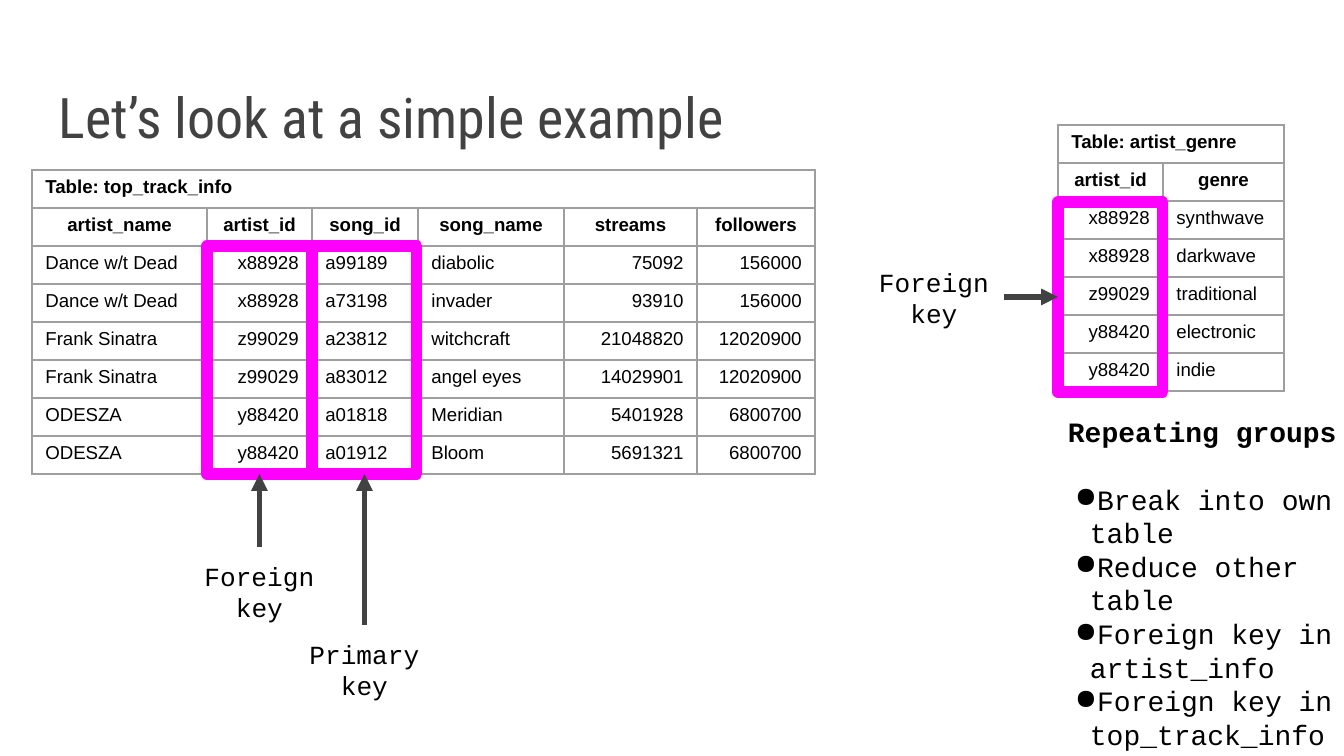
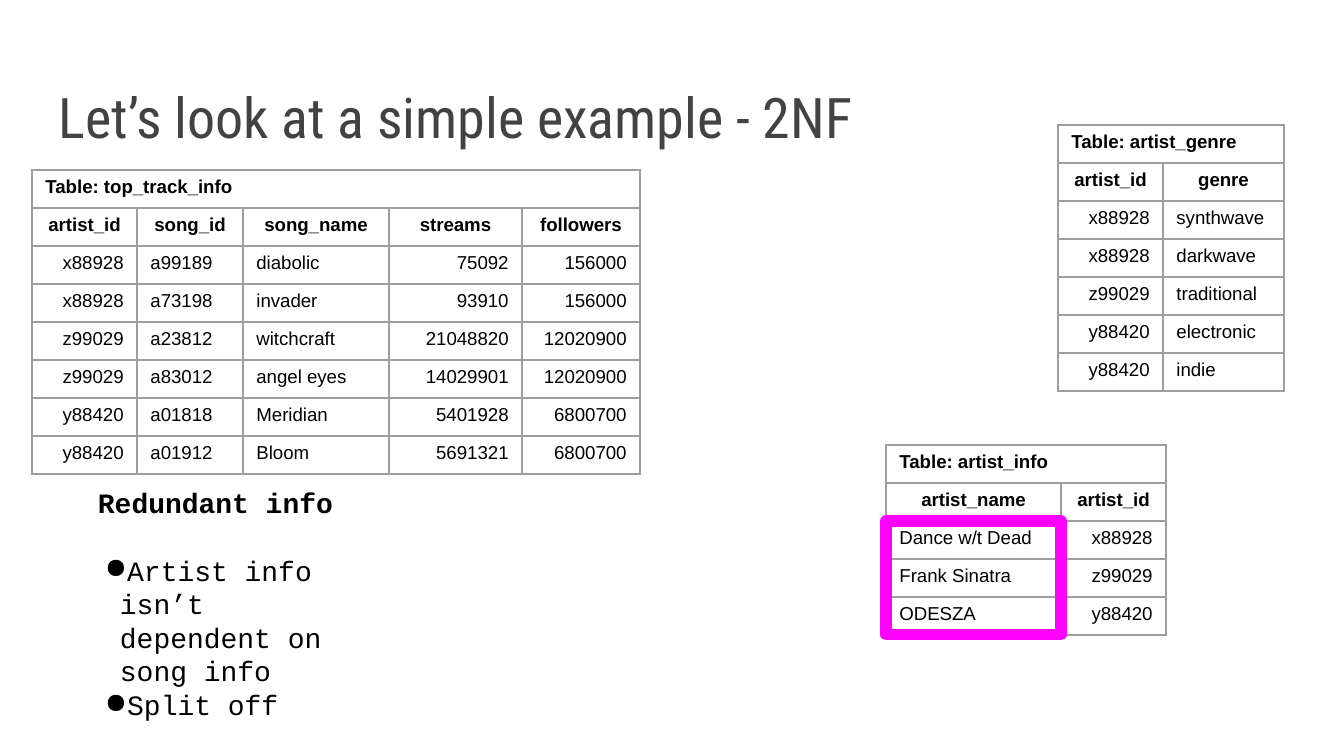
import pptx
import pptx.dml.color
import pptx.enum.dml
import pptx.enum.shapes
import pptx.enum.text
import pptx.oxml
import pptx.oxml.ns
import pptx.util
import lxml.etree

ALIGN = pptx.enum.text.PP_ALIGN
TITLE_FONT = "Roboto Condensed"
TABLE_FONT = "Arial"
NOTE_FONT = "Courier New"
BLACK, WHITE, GREY = "000000", "FFFFFF", "424242"
BORDER, HIGHLIGHT = "9E9E9E", "FF00FF"
ROW_HEIGHT = 38

COLUMNS = {
    "artist_name": (175, ALIGN.LEFT),
    "artist_id": (105, ALIGN.RIGHT),
    "song_id": (106, ALIGN.LEFT),
    "song_name": (146, ALIGN.LEFT),
    "streams": (133, ALIGN.RIGHT),
    "followers": (118, ALIGN.RIGHT),
    "genre": (121, ALIGN.LEFT),
}
TRACK_COLUMNS = ["artist_name", "artist_id", "song_id", "song_name", "streams", "followers"]
TRACKS = [
    ("Dance w/t Dead", "x88928", "a99189", "diabolic", "75092", "156000"),
    ("Dance w/t Dead", "x88928", "a73198", "invader", "93910", "156000"),
    ("Frank Sinatra", "z99029", "a23812", "witchcraft", "21048820", "12020900"),
    ("Frank Sinatra", "z99029", "a83012", "angel eyes", "14029901", "12020900"),
    ("ODESZA", "y88420", "a01818", "Meridian", "5401928", "6800700"),
    ("ODESZA", "y88420", "a01912", "Bloom", "5691321", "6800700"),
]
GENRES = [
    ("x88928", "synthwave"),
    ("x88928", "darkwave"),
    ("z99029", "traditional"),
    ("y88420", "electronic"),
    ("y88420", "indie"),
]
ARTISTS = [("Dance w/t Dead", "x88928"), ("Frank Sinatra", "z99029"), ("ODESZA", "y88420")]


def px(length):
    return pptx.util.Emu(round(length * 914400 / 134.4))


def color(value):
    return pptx.dml.color.RGBColor.from_string(value)


def add_run(paragraph, text, font, size, fill=BLACK, bold=False):
    run = paragraph.add_run()
    run.text = text
    run.font.name = font
    run.font.size = pptx.util.Pt(size)
    run.font.bold = bold
    run.font.color.rgb = color(fill)


def set_frame(frame, inset):
    frame.word_wrap = True
    frame.auto_size = pptx.enum.text.MSO_AUTO_SIZE.NONE
    frame.margin_left = frame.margin_right = px(inset)
    frame.margin_top = frame.margin_bottom = px(inset)


def add_titled_slide(presentation, text):
    slide = presentation.slides.add_slide(presentation.slide_layouts[5])
    title = slide.shapes.title
    title.left, title.top, title.width, title.height = px(46), px(55), px(1253), px(108)
    set_frame(title.text_frame, 13)
    title.text_frame.vertical_anchor = pptx.enum.text.MSO_ANCHOR.BOTTOM
    paragraph = title.text_frame.paragraphs[0]
    paragraph.alignment = ALIGN.LEFT
    add_run(paragraph, text, TITLE_FONT, 30, GREY)
    return slide


def set_borders(cell):
    properties = cell._tc.get_or_add_tcPr()
    for side in ("lnL", "lnR", "lnT", "lnB"):
        properties.append(pptx.oxml.parse_xml(
            f'<a:{side} {pptx.oxml.ns.nsdecls("a")} w="9525"><a:solidFill>'
            f'<a:srgbClr val="{BORDER}"/></a:solidFill></a:{side}>'))


def fill_cell(cell, text, alignment, bold):
    paragraph = cell.text_frame.paragraphs[0]
    paragraph.alignment = alignment
    add_run(paragraph, text, TABLE_FONT, 10, bold=bold)


def add_data_table(slide, left, top, name, columns, records):
    widths = [COLUMNS[column][0] for column in columns]
    row_count = len(records) + 2
    table = slide.shapes.add_table(
        row_count, len(columns), px(left), px(top),
        px(sum(widths)), px(ROW_HEIGHT * row_count)).table
    table.first_row = table.horz_banding = False
    for column, width in zip(table.columns, widths):
        column.width = px(width)
    for row in table.rows:
        row.height = px(ROW_HEIGHT)
    for cell in table.iter_cells():
        set_borders(cell)
        cell.fill.background()
    heading = table.cell(0, 0)
    heading.merge(table.cell(0, len(columns) - 1))
    heading.fill.solid()
    heading.fill.fore_color.rgb = color(WHITE)
    fill_cell(heading, f"Table: {name}", ALIGN.LEFT, True)
    for index, column in enumerate(columns):
        fill_cell(table.cell(1, index), column, ALIGN.CENTER, True)
        for row, record in enumerate(records, 2):
            fill_cell(table.cell(row, index), record[index], COLUMNS[column][1], False)


def add_highlight(slide, left, top, width, height):
    shape = slide.shapes.add_shape(
        pptx.enum.shapes.MSO_SHAPE.RECTANGLE, px(left), px(top), px(width), px(height))
    shape.shadow.inherit = False
    shape.fill.background()
    shape.line.color.rgb = color(HIGHLIGHT)
    shape.line.width = pptx.util.Pt(6)
    return shape


def add_text_box(slide, left, top, width, height, inset):
    box = slide.shapes.add_textbox(px(left), px(top), px(width), px(height))
    set_frame(box.text_frame, inset)
    return box


def next_paragraph(frame, index):
    return frame.add_paragraph() if index else frame.paragraphs[0]


def add_key_label(slide, left, top, width, paragraphs):
    box = add_text_box(slide, left, top, width, 88, 13)
    for index, lines in enumerate(paragraphs):
        paragraph = next_paragraph(box.text_frame, index)
        paragraph.alignment = ALIGN.CENTER
        for number, line in enumerate(lines):
            if number:
                paragraph.add_line_break()
            add_run(paragraph, line, NOTE_FONT, 14)
    return box


def add_arrow(slide, label, label_side, target, target_side):
    connector = slide.shapes.add_connector(pptx.enum.shapes.MSO_CONNECTOR.STRAIGHT, 0, 0, 0, 0)
    connector.begin_connect(label, label_side)
    connector.end_connect(target, target_side)
    connector.line.color.rgb = color(GREY)
    connector.line.width = pptx.util.Pt(3)
    line = connector.line._get_or_add_ln()
    lxml.etree.SubElement(line, pptx.oxml.ns.qn("a:tailEnd"), type="triangle")
    lxml.etree.SubElement(connector._element.spPr, pptx.oxml.ns.qn("a:effectLst"))


def add_bullet(paragraph):
    properties = paragraph._p.get_or_add_pPr()
    properties.set("marL", str(px(22)))
    properties.set("indent", str(px(-15)))
    bullet_color = lxml.etree.SubElement(properties, pptx.oxml.ns.qn("a:buClr"))
    lxml.etree.SubElement(bullet_color, pptx.oxml.ns.qn("a:srgbClr"), val=BLACK)
    lxml.etree.SubElement(properties, pptx.oxml.ns.qn("a:buChar"), char="●")


def add_notes_box(slide, left, top, heading, bullets):
    frame = add_text_box(slide, left, top, 280, 325, 3).text_frame
    add_run(frame.paragraphs[0], heading, NOTE_FONT, 15, bold=True)
    for index, text in enumerate(bullets):
        paragraph = frame.add_paragraph()
        add_bullet(paragraph)
        if index == 0:
            paragraph.space_before = pptx.util.Pt(18)
        add_run(paragraph, text, NOTE_FONT, 15)


def add_genre_table(slide):
    add_data_table(slide, 1058, 125, "artist_genre", ["artist_id", "genre"], GENRES)


def build_keys_slide(presentation):
    slide = add_titled_slide(presentation, "Let’s look at a simple example")
    add_data_table(slide, 32, 170, "top_track_info", TRACK_COLUMNS, TRACKS)
    add_genre_table(slide)
    add_notes_box(slide, 1065, 412, "Repeating groups", [
        "Break into own table",
        "Reduce other table",
        "Foreign key in artist_info",
        "Foreign key in top_track_info",
    ])
    genre_key = add_highlight(slide, 1058, 202, 105, 190)
    artist_key = add_highlight(slide, 207, 246, 105, 228)
    song_key = add_highlight(slide, 312, 246, 105, 228)
    artist_label = add_key_label(slide, 183, 547, 153, [["Foreign key"]])
    genre_label = add_key_label(slide, 864, 253, 140, [["Foreign", "key"]])
    song_label = add_key_label(slide, 288, 625, 153, [["Primary"], ["key"]])
    add_arrow(slide, genre_label, 3, genre_key, 1)
    add_arrow(slide, artist_label, 0, artist_key, 2)
    add_arrow(slide, song_label, 0, song_key, 2)


def build_second_form_slide(presentation):
    slide = add_titled_slide(presentation, "Let’s look at a simple example - 2NF")
    add_genre_table(slide)
    add_data_table(slide, 886, 445, "artist_info", ["artist_name", "artist_id"], ARTISTS)
    add_data_table(slide, 32, 170, "top_track_info", TRACK_COLUMNS[1:],
                   [track[1:] for track in TRACKS])
    add_notes_box(slide, 95, 483, "Redundant info", [
        "Artist info isn’t dependent on song info",
        "Split off",
    ])
    add_highlight(slide, 886, 521, 175, 114)


def main():
    presentation = pptx.Presentation()
    presentation.slide_width, presentation.slide_height = px(1344), px(756)
    build_keys_slide(presentation)
    build_second_form_slide(presentation)
    presentation.save("out.pptx")


if __name__ == "__main__":
    main()
